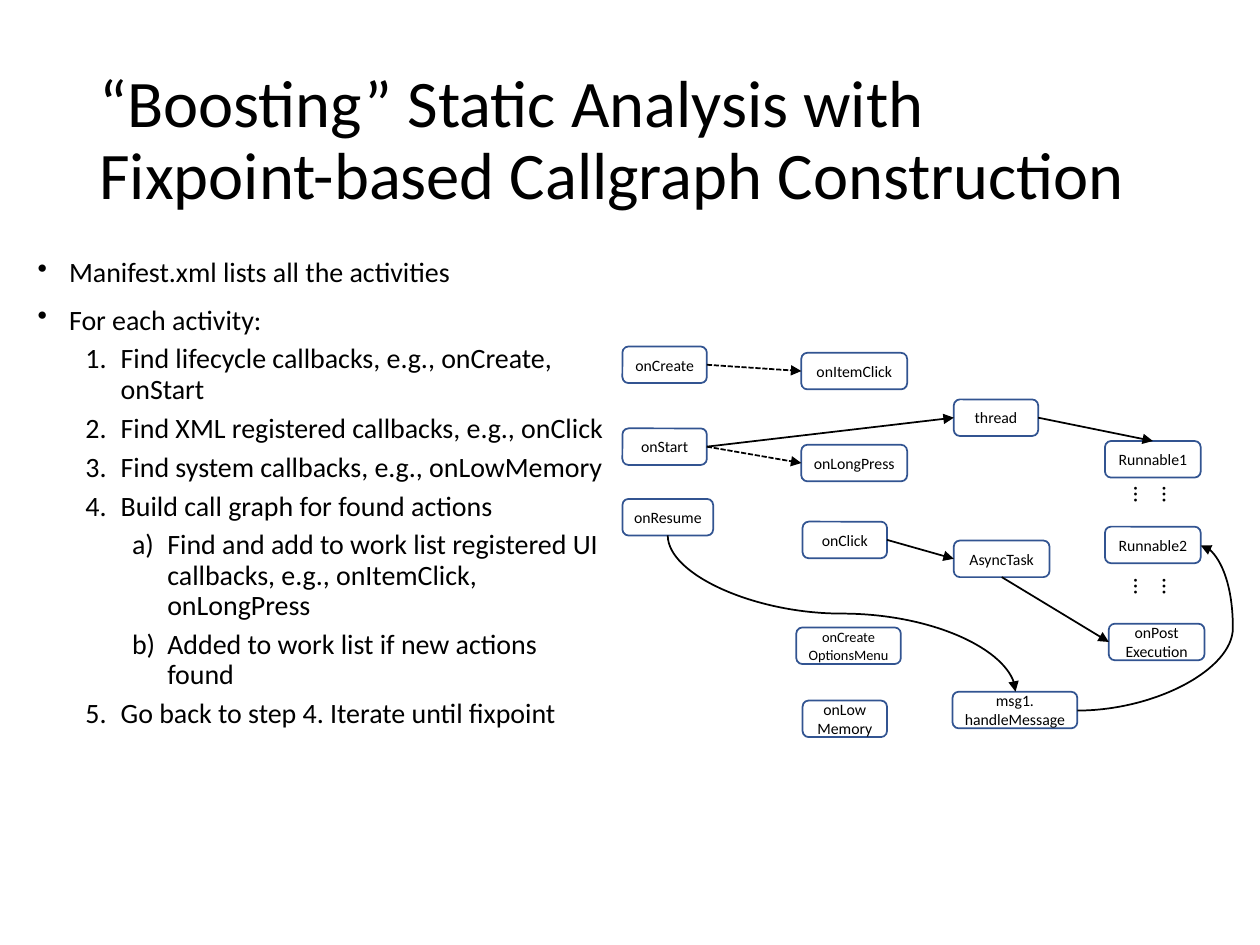
from dataclasses import dataclass

from lxml import etree
from pptx import Presentation
from pptx.dml.color import RGBColor
from pptx.enum.dml import MSO_LINE
from pptx.enum.shapes import MSO_CONNECTOR, MSO_SHAPE
from pptx.enum.text import MSO_ANCHOR, PP_ALIGN
from pptx.oxml.ns import qn
from pptx.util import Inches, Pt


@dataclass(frozen=True)
class Theme:
    font: str = "Calibri"
    text: RGBColor = RGBColor(0x00, 0x00, 0x00)
    border: RGBColor = RGBColor(0x32, 0x54, 0x91)
    line: float = 1
    title: float = 38
    body: float = 16
    node: float = 9
    small_node: float = 8.2
    dots: float = 13.5


# Indent, space before and bullet for each outline level
LEVELS = [
    dict(left=0.25, hang=0.25, before=10, tag="a:buChar", bullet=("char", "•")),
    dict(left=0.66, hang=0.28, before=5, tag="a:buAutoNum", bullet=("type", "arabicPeriod")),
    dict(left=1.03, hang=0.28, before=5, tag="a:buAutoNum", bullet=("type", "alphaLcParenR")),
]
TOP, LEFT, BOTTOM, RIGHT = range(4)  # connection sites of a node


def apply(target, values):
    for name, value in values.items():
        setattr(target, name, value)


class SlideBuilder:
    def __init__(self, s, theme):
        self.s, self.theme = s, theme

    def paragraph(self, tf, text, size, first, **values):
        p = tf.paragraphs[0] if first else tf.add_paragraph()
        apply(p, values)
        r = p.add_run()
        r.text = text
        apply(r.font, dict(name=self.theme.font, size=Pt(size)))
        r.font.color.rgb = self.theme.text
        return p

    def text(self, text, box, size, rotation=0, anchor=MSO_ANCHOR.TOP, **values):
        sp = self.s.shapes.add_textbox(*map(Inches, box))
        sp.rotation = rotation
        apply(sp.text_frame, dict(word_wrap=True, vertical_anchor=anchor))
        self.paragraph(sp.text_frame, text, size, True, **values)

    def outline(self, items, box):
        tf = self.s.shapes.add_textbox(*map(Inches, box)).text_frame
        tf.word_wrap = True
        for i, (level, text) in enumerate(items):
            style = LEVELS[level]
            p = self.paragraph(tf, text, self.theme.body, i == 0, level=level,
                               line_spacing=0.9, space_before=Pt(style["before"]))
            pPr = p._p.get_or_add_pPr()
            pPr.set("marL", str(Inches(style["left"])))
            pPr.set("indent", str(-Inches(style["hang"])))
            etree.SubElement(pPr, qn(style["tag"])).set(*style["bullet"])

    def node(self, text, left, top, width, size=None):
        sp = self.s.shapes.add_shape(MSO_SHAPE.ROUNDED_RECTANGLE,
                                     *map(Inches, (left, top, width, 0.29)))
        sp.shadow.inherit = False
        sp.fill.background()
        sp.line.color.rgb = self.theme.border
        sp.line.width = Pt(self.theme.line)
        tf = sp.text_frame
        apply(tf, dict(word_wrap=True, vertical_anchor=MSO_ANCHOR.MIDDLE,
                       margin_left=Inches(0.07), margin_right=Inches(0.07),
                       margin_top=Inches(0.04), margin_bottom=Inches(0.04)))
        for i, row in enumerate(text.split("\n")):
            self.paragraph(tf, row, size or self.theme.node, i == 0,
                           alignment=PP_ALIGN.CENTER)
        return sp

    def connector(self, kind, ends):
        c = self.s.shapes.add_connector(kind, *map(Inches, ends))
        c.line.color.rgb = self.theme.text
        c.line.width = Pt(self.theme.line)
        etree.SubElement(c.line._get_or_add_ln(), qn("a:tailEnd")).set("type", "triangle")
        etree.SubElement(c._element.spPr, qn("a:effectLst"))
        return c

    def arrow(self, start, start_site, end, end_site, dashed=False):
        c = self.connector(MSO_CONNECTOR.STRAIGHT, (0, 0, 0, 0))
        c.begin_connect(start, start_site)
        c.end_connect(end, end_site)
        if dashed:
            c.line.dash_style = MSO_LINE.SQUARE_DOT

    def curve(self, ends, rotation=0, bend=0.5):
        c = self.connector(MSO_CONNECTOR.CURVE, ends)
        spPr = c._element.spPr
        spPr.find(qn("a:xfrm")).set("rot", str(rotation * 60000))
        geometry = spPr.find(qn("a:prstGeom"))
        guides = geometry.find(qn("a:avLst"))
        if guides is None:
            guides = etree.SubElement(geometry, qn("a:avLst"))
        guide = etree.SubElement(guides, qn("a:gd"))
        guide.set("name", "adj1")
        guide.set("fmla", f"val {round(bend * 100000)}")


OUTLINE = [
    (0, "Manifest.xml lists all the activities"),
    (0, "For each activity:"),
    (1, "Find lifecycle callbacks, e.g., onCreate, onStart"),
    (1, "Find XML registered callbacks, e.g., onClick"),
    (1, "Find system callbacks, e.g., onLowMemory"),
    (1, "Build call graph for found actions"),
    (2, "Find and add to work list registered UI callbacks, e.g., onItemClick, onLongPress"),
    (2, "Added to work list if new actions found"),
    (1, "Go back to step 4. Iterate until fixpoint"),
]

# Text, left, top, width
NODES = [
    ("onCreate", 4.94, 2.75, 0.67),
    ("onStart", 4.94, 3.4, 0.67),
    ("onResume", 4.94, 3.96, 0.72),
    ("onClick", 6.37, 4.14, 0.67),
    ("onCreate\nOptionsMenu", 6.32, 4.98, 0.83, Theme.small_node),
    ("onLow\nMemory", 6.37, 5.56, 0.67),
    ("thread", 7.57, 3.17, 0.67),
    ("AsyncTask", 7.57, 4.29, 0.76),
    ("onPost\nExecution", 8.8, 4.95, 0.76),
    ("msg1.\nhandleMessage", 7.56, 5.49, 0.99),
    ("Runnable1", 8.77, 3.5, 0.76),
    ("onItemClick", 6.36, 2.8, 0.84),
    ("onLongPress", 6.36, 3.53, 0.84),
    ("Runnable2", 8.77, 4.18, 0.76),
]

ARROWS = [
    ("onStart", RIGHT, "thread", LEFT, False),
    ("onClick", RIGHT, "AsyncTask", LEFT, False),
    ("onCreate", RIGHT, "onItemClick", LEFT, True),
    ("onStart", RIGHT, "onLongPress", LEFT, True),
    ("thread", RIGHT, "Runnable1", TOP, False),
    ("AsyncTask", BOTTOM, "onPost\nExecution", LEFT, False),
]


def main():
    prs = Presentation()
    apply(prs, dict(slide_width=Inches(10), slide_height=Inches(7.5)))
    theme = Theme()
    slide = SlideBuilder(prs.slides.add_slide(prs.slide_layouts[6]), theme)

    # Title and steps
    slide.text("“Boosting” Static Analysis with Fixpoint-based Callgraph Construction",
               (0.69, 0.4, 8.62, 1.45), theme.title,
               anchor=MSO_ANCHOR.MIDDLE, line_spacing=0.9)
    slide.outline(OUTLINE, (0.2, 2, 4.74, 4.76))

    # Call graph
    nodes = {node[0]: slide.node(*node) for node in NODES}
    for start, start_site, end, end_site, dashed in ARROWS:
        slide.arrow(nodes[start], start_site, nodes[end], end_site, dashed)

    # onResume to handleMessage, then on to Runnable2
    slide.curve((7.3, 3.49, 6.06, 6.25), rotation=270)
    slide.curve((8.55, 5.64, 9.53, 4.33), bend=1.26)

    # Dots below each Runnable
    for top in (3.7, 4.43):
        slide.text("……", (8.97, top, 0.43, 0.56), theme.dots, rotation=90)

    prs.save("out.pptx")


if __name__ == "__main__":
    main()
